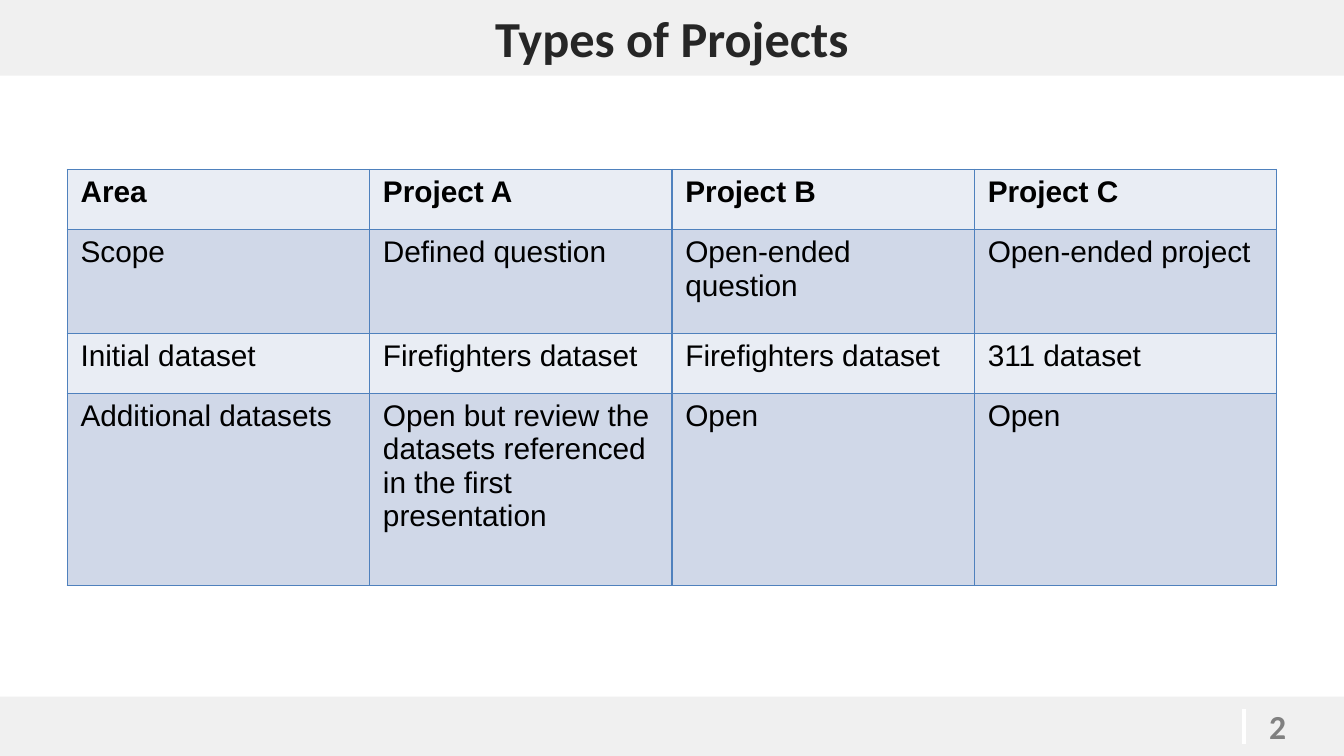
"""Build the slide comparing the types of projects."""
import pptx
import pptx.util
import pptx.dml.color
import pptx.enum.shapes
import pptx.enum.text
import pptx.oxml
import pptx.oxml.ns
import lxml.etree

Pt = pptx.util.Pt
ALIGN = pptx.enum.text.PP_ALIGN
ANCHOR = pptx.enum.text.MSO_ANCHOR

TITLE = "Types of Projects"
PAGE = "2"
ROWS = [
    ("Area", "Project A", "Project B", "Project C"),
    ("Scope", "Defined question", "Open-ended question", "Open-ended project"),
    ("Initial dataset", "Firefighters dataset", "Firefighters dataset", "311 dataset"),
    ("Additional datasets",
     "Open but review the datasets referenced in the first presentation",
     "Open", "Open"),
]
ROW_HEIGHTS = [43, 74, 43, 137.5]
BANDS = ["E9EDF4", "D0D8E8"]
BORDER, BAR = "4F81BD", "F0F0F0"
W, H = 960, 540
TITLE_H, FOOTER_H = 54, 42.5
MARGIN, TABLE_TOP = 48, 121


def rgb(color):
    return pptx.dml.color.RGBColor.from_string(color)


def fill(obj, color):
    obj.fill.solid()
    obj.fill.fore_color.rgb = rgb(color)


def write(tf, text, size, font="Calibri", color="000000", bold=False, align=ALIGN.LEFT):
    tf.word_wrap = True
    p = tf.paragraphs[0]
    p.alignment = align
    r = p.add_run()
    r.text = text
    r.font.size, r.font.name, r.font.bold = Pt(size), font, bold
    r.font.color.rgb = rgb(color)


def add_borders(cell, color, width):
    tcPr = cell._tc.get_or_add_tcPr()
    for i, side in enumerate(("lnL", "lnR", "lnT", "lnB")):
        ln = pptx.oxml.parse_xml(
            f'<a:{side} {pptx.oxml.ns.nsdecls("a")} w="{Pt(width)}"><a:solidFill>'
            f'<a:srgbClr val="{color}"/></a:solidFill></a:{side}>')
        tcPr.insert(i, ln)


def add_footer(s):
    top = H - FOOTER_H
    sp = s.shapes.add_shape(pptx.enum.shapes.MSO_SHAPE.RECTANGLE,
                            0, Pt(top), Pt(W), Pt(FOOTER_H))
    sp.shadow.inherit = False
    fill(sp, BAR)
    sp.line.fill.background()
    box = s.shapes.add_textbox(Pt(899.5), Pt(top + 3), Pt(60), Pt(36))
    write(box.text_frame, PAGE, 24, color="808080", bold=True)
    line = s.shapes.add_connector(pptx.enum.shapes.MSO_CONNECTOR.STRAIGHT,
                                  Pt(888.5), Pt(top + 9), Pt(888.5), Pt(top + 34))
    line.line.width = Pt(3)
    line.line.color.rgb = rgb("FFFFFF")
    lxml.etree.SubElement(line._element.spPr, pptx.oxml.ns.qn("a:effectLst"))


def add_title(s):
    sp = s.shapes.title
    sp.left, sp.top, sp.width, sp.height = 0, 0, Pt(W), Pt(TITLE_H)
    fill(sp, BAR)
    tf = sp.text_frame
    tf.auto_size = pptx.enum.text.MSO_AUTO_SIZE.NONE
    tf.vertical_anchor = ANCHOR.MIDDLE
    write(tf, TITLE, 36, color="262626", bold=True, align=ALIGN.CENTER)


def add_project_table(s):
    cols = len(ROWS[0])
    width = W - 2 * MARGIN
    table = s.shapes.add_table(len(ROWS), cols, Pt(MARGIN), Pt(TABLE_TOP),
                               Pt(width), Pt(sum(ROW_HEIGHTS))).table
    for col in table.columns:
        col.width = Pt(width / cols)
    for i, (row, height) in enumerate(zip(ROWS, ROW_HEIGHTS)):
        table.rows[i].height = Pt(height)
        for j, text in enumerate(row):
            cell = table.cell(i, j)
            cell.margin_left = cell.margin_right = Pt(9.6)
            cell.margin_top = cell.margin_bottom = Pt(4.6)
            fill(cell, BANDS[i % 2])
            add_borders(cell, BORDER, 1)
            write(cell.text_frame, text, 21.3, font="Arial", bold=i == 0)


def main():
    prs = pptx.Presentation()
    prs.slide_width, prs.slide_height = Pt(W), Pt(H)
    s = prs.slides.add_slide(prs.slide_layouts[5])
    add_footer(s)
    add_title(s)
    add_project_table(s)
    prs.save("out.pptx")


if __name__ == "__main__":
    main()
